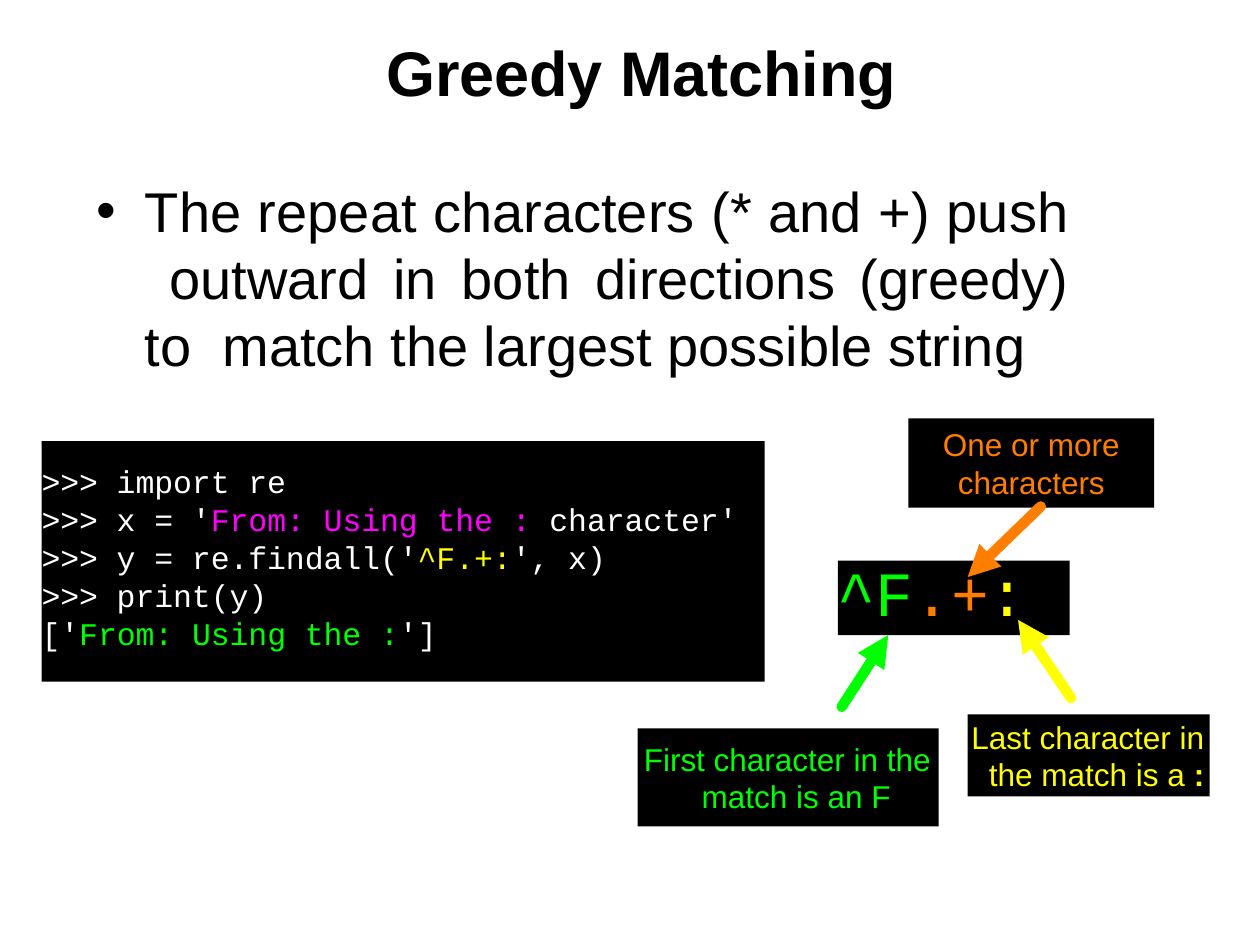
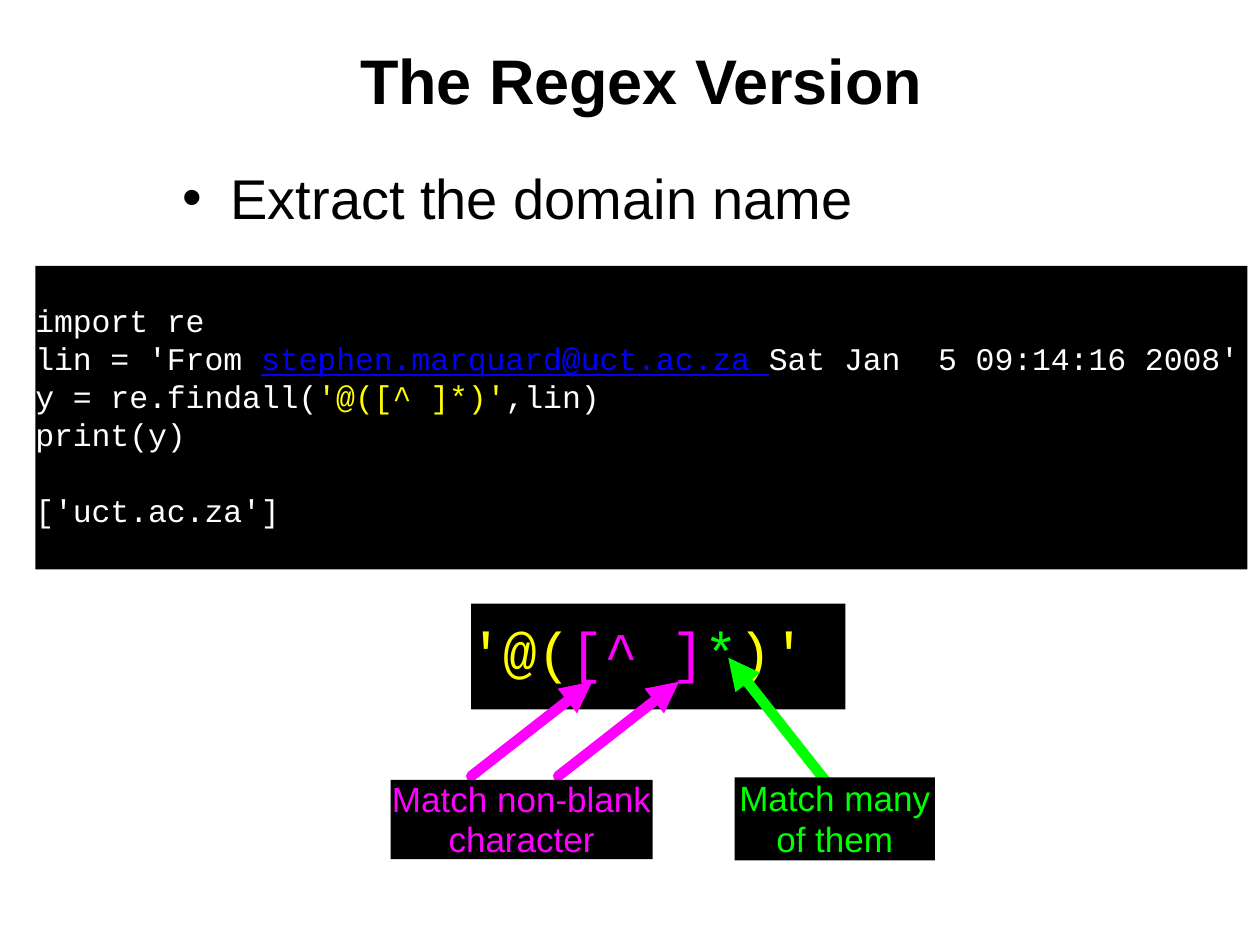
"""Builds two slides on greedy matching and extracting text with regular expressions."""
import dataclasses

import pptx
import pptx.dml.color
import pptx.enum.shapes
import pptx.enum.text
import pptx.oxml.ns
import pptx.util
import lxml.etree

PX = 9144
ALIGN = pptx.enum.text.PP_ALIGN
ANCHOR = pptx.enum.text.MSO_ANCHOR


@dataclasses.dataclass(frozen=True)
class Theme:
    sans: str = "Arial"
    mono: str = "Courier New"
    black: str = "000000"
    white: str = "FFFFFF"
    green: str = "00FF00"
    yellow: str = "FFFF00"
    orange: str = "FF7E00"
    magenta: str = "FF00FF"
    blue: str = "0000FF"
    title: int = 36
    body: int = 32
    label: int = 20
    code: int = 18
    arrow: int = 6
    tracking: str = "-5"


THEME = Theme()


def rgb(color):
    return pptx.dml.color.RGBColor.from_string(color)


def px(*lengths):
    return [length * PX for length in lengths]


def add_child(parent, tag, **attributes):
    return lxml.etree.SubElement(parent, pptx.oxml.ns.qn(tag), attributes)


def set_frame(box, top=None):
    frame = box.text_frame
    frame.word_wrap = True
    frame.margin_left = frame.margin_right = frame.margin_bottom = 0
    frame.margin_top = (top or 0) * PX
    frame.vertical_anchor = ANCHOR.MIDDLE if top is None else ANCHOR.TOP
    return frame


def write_lines(frame, lines, font, size, align=ALIGN.LEFT):
    """Each line is a list of (text, color) spans."""
    for number, line in enumerate(lines):
        para = frame.paragraphs[0] if number == 0 else frame.add_paragraph()
        para.alignment = align
        for text, color in line:
            span = para.add_run()
            span.text = text
            span.font.name = font
            span.font.size = pptx.util.Pt(size)
            span.font.color.rgb = rgb(color)
            if font == THEME.mono or size == THEME.title:
                span._r.get_or_add_rPr().set("spc", THEME.tracking)


def set_indent(para, margin, first):
    properties = para._p.get_or_add_pPr()
    properties.set("marL", str(margin * PX))
    properties.set("indent", str(first * PX))
    return properties


def add_text(page, place, line, font, size, align=ALIGN.LEFT):
    frame = set_frame(page.shapes.add_textbox(*px(*place)), 1)
    write_lines(frame, [line], font, size, align)
    return frame.paragraphs[0]


def add_title(page, text, top):
    para = add_text(page, (284, top, 450, 63), [(text, THEME.black)],
                    THEME.sans, THEME.title, ALIGN.CENTER)
    para.runs[0].font.bold = True


def add_bullet(page, text, place, align=ALIGN.LEFT):
    para = add_text(page, place, [(text, THEME.black)], THEME.sans, THEME.body, align)
    properties = set_indent(para, 39, -38)
    add_child(properties, "a:buFont", typeface=THEME.sans)
    add_child(properties, "a:buChar", char="•")


def add_panel(page, place, lines, font, size, align=ALIGN.LEFT, top=None):
    """Black rectangle with text, centred vertically unless a top inset is given."""
    box = page.shapes.add_shape(pptx.enum.shapes.MSO_SHAPE.RECTANGLE, *px(*place))
    box.shadow.inherit = False
    box.fill.solid()
    box.fill.fore_color.rgb = rgb(THEME.black)
    box.line.fill.background()
    frame = set_frame(box, top)
    write_lines(frame, lines, font, size, align)
    return frame.paragraphs


def add_code(page, place, lines, top):
    return add_panel(page, place, lines, THEME.mono, THEME.code, top=top)


def add_regex(page, panel_place, text_place, line, size):
    add_panel(page, panel_place, [], THEME.mono, size)
    add_text(page, text_place, line, THEME.mono, size)


def add_centred_label(page, place, texts, color, size):
    lines = [[(text, color)] for text in texts]
    return add_panel(page, place, lines, THEME.sans, size, ALIGN.CENTER)


def add_hanging_label(page, place, line, margin, first):
    para = add_panel(page, place, [line], THEME.sans, THEME.code)[0]
    set_indent(para, margin, first)
    return para


def add_arrow(page, start, end, color):
    arrow = page.shapes.add_connector(
        pptx.enum.shapes.MSO_CONNECTOR.STRAIGHT, *px(*start, *end))
    arrow.line.color.rgb = rgb(color)
    arrow.line.width = pptx.util.Pt(THEME.arrow)
    outline = arrow.line._get_or_add_ln()
    outline.set("cap", "rnd")
    add_child(outline, "a:round")
    add_child(outline, "a:tailEnd", type="triangle", w="med", len="med")
    add_child(arrow._element.spPr, "a:effectLst")


def build_greedy_matching(page):
    white, green, yellow = THEME.white, THEME.green, THEME.yellow
    add_title(page, "Greedy Matching", 26)
    add_bullet(page, "The repeat characters (* and +) push  outward in both directions "
               "(greedy) to  match the largest possible string",
               (76, 139, 773, 163), ALIGN.JUSTIFY)
    add_code(page, (33, 350, 574, 191), [
        [(">>> import re", white)],
        [(">>> x = '", white), ("From: Using the : ", THEME.magenta), ("character'", white)],
        [(">>> y = re.findall('", white), ("^F.+:", yellow), ("', x)", white)],
        [(">>> print(y)", white)],
        [("['", white), ("From: Using the :", green), ("']", white)],
    ], 17)
    add_regex(page, (665, 445, 184, 59), (665, 438, 153, 63),
              [("^F", green), (".+", THEME.orange), (":", yellow)], THEME.title)
    add_centred_label(page, (721, 332, 195, 71), ["One or more", "characters"],
                      THEME.orange, THEME.code)
    add_hanging_label(page, (506, 578, 239, 78),
                      [("First character in the  match is an F", green)], 44, -39)
    last = add_hanging_label(page, (768, 567, 192, 65),
                             [("Last character in  the match is a ", yellow), (":", yellow)],
                             10, -7)
    last.runs[-1].font.bold = True
    add_arrow(page, (826, 402), (768, 458), THEME.orange)
    add_arrow(page, (668, 561), (705, 504), green)
    add_arrow(page, (850, 554), (808, 492), yellow)


def build_regex_version(page):
    white, yellow, magenta = THEME.white, THEME.yellow, THEME.magenta
    add_title(page, "The Regex Version", 32)
    add_bullet(page, "Extract the domain name", (144, 129, 534, 56))
    code = add_code(page, (28, 211, 962, 241), [
        [("import re", white)],
        [("lin = 'From ", white), ("stephen.marquard@uct.ac.za ", THEME.blue),
         ("Sat Jan  5 09:14:16 2008'", white)],
        [("y = re.findall(", white), ("'@([^ ]*)'", yellow), (",lin)", white)],
        [("print(y)", white)],
        [("['uct.ac.za']", white)],
    ], 28)
    code[1].runs[1].font.underline = True
    code[-1].space_before = pptx.util.Pt(22)
    add_regex(page, (374, 479, 297, 84), (373, 488, 270, 56),
              [("'@(", yellow), ("[^ ]", magenta), ("*", THEME.green), (")'", yellow)],
              THEME.body)
    for start in (374, 443):
        add_arrow(page, (start, 616), (start + 96, 541), magenta)
    add_arrow(page, (660, 626), (578, 522), THEME.green)
    for place, texts, color in (
            ((310, 619, 208, 63), ["Match non-blank", "character"], magenta),
            ((583, 617, 159, 66), ["Match many", "of them"], THEME.green)):
        for para in add_centred_label(page, place, texts, color, THEME.label):
            para.line_spacing = pptx.util.Pt(23)


def main():
    deck = pptx.Presentation()
    deck.slide_width, deck.slide_height = px(1000, 750)
    for build in (build_greedy_matching, build_regex_version):
        build(deck.slides.add_slide(deck.slide_layouts[6]))
    deck.save("out.pptx")


if __name__ == "__main__":
    main()
